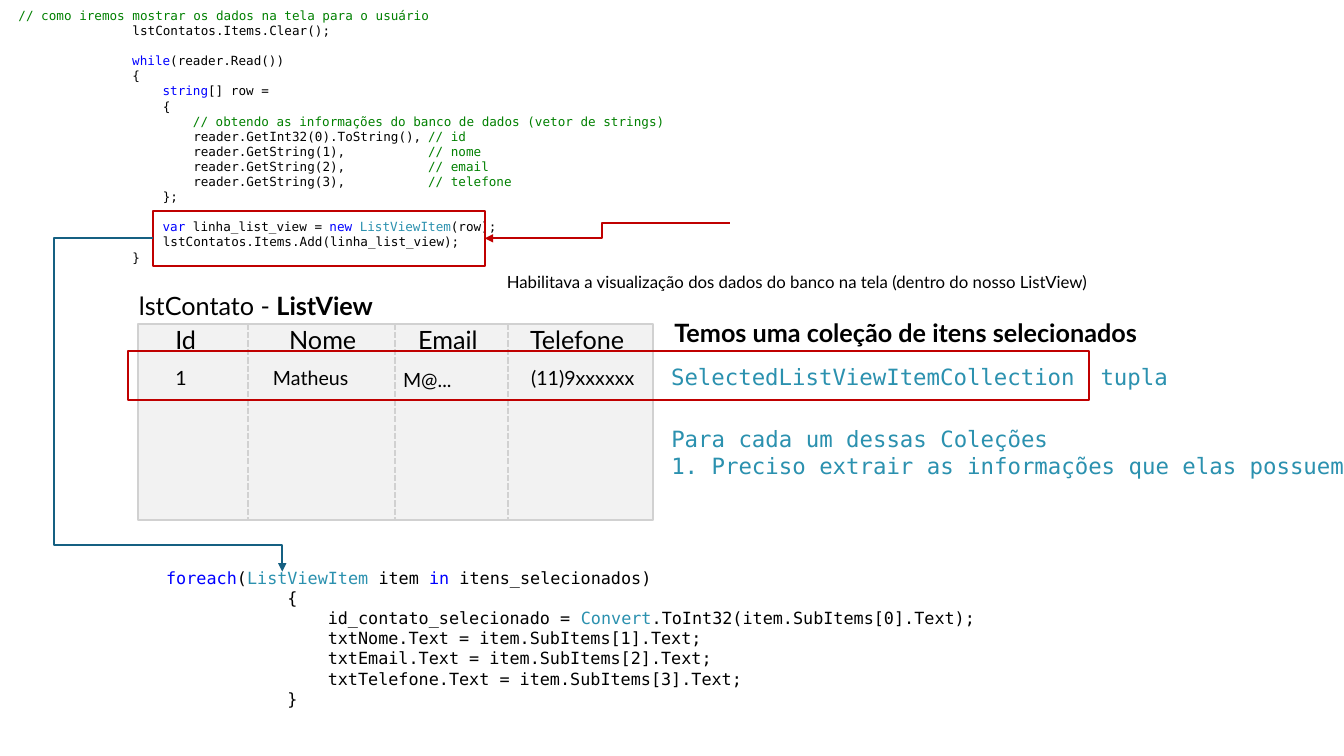
from lxml import etree
from pptx import Presentation
from pptx import util as u
from pptx.dml.color import RGBColor
from pptx.enum import dml, shapes, text
from pptx.oxml.ns import qn

HUES = {"ink": "000000", "note": "008000", "key": "0000FF", "type": "2B91AF",
        "red": "C00000", "blue": "156082", "edge": "D1D1D1", "pale": "F2F2F2"}
MONO, SANS = "DejaVu Sans Mono", "Lato"
TOP, LOW, LEFT, RIGHT = 32.1, 51.6, 13.7, 64.8
RULES = (24.6, 39.2, 50.4)
HEADS = (("Id", 16.4, 5.5), ("Nome", 27.7, 8.8), ("Email", 40.5, 8.8), ("Telefone", 51.6, 12.4))
ROW = (("1", 16.4, 35.8, 5.5), ("Matheus", 26.1, 35.8, 13.3),
       ("M@...", 39, 36, 13.3), ("(11)9xxxxxx", 51.7, 35.8, 14.8))

READ = (
    (0, [(" ", "ink"), ("// como iremos mostrar os dados na tela para o usuário", "note")]),
    (0, [("                lstContatos.Items.Clear();", "ink")]),
    (1, [("                ", "ink"), ("while", "key"), ("(reader.Read())", "ink")]),
    (0, [("                {", "ink")]),
    (0, [("                    ", "ink"), ("string", "key"), ("[] row =", "ink")]),
    (0, [("                    {", "ink")]),
    (0, [("                        ", "ink"),
         ("// obtendo as informações do banco de dados (vetor de strings)", "note")]),
    (0, [("                        reader.GetInt32(0).ToString(), ", "ink"), ("// id", "note")]),
    (0, [("                        reader.GetString(1),           ", "ink"), ("// nome", "note")]),
    (0, [("                        reader.GetString(2),           ", "ink"), ("// email", "note")]),
    (0, [("                        reader.GetString(3),           ", "ink"), ("// telefone", "note")]),
    (0, [("                    };", "ink")]),
    (1, [("                    ", "ink"), ("var", "key"), (" linha_list_view = ", "ink"),
         ("new", "key"), (" ", "ink"), ("ListViewItem", "type"), ("(row);", "ink")]),
    (0, [("                    lstContatos.Items.Add(linha_list_view);", "ink")]),
    (0, [("                }", "ink")]))

LOOP = (
    (0, [("foreach", "key"), ("(", "ink"), ("ListViewItem", "type"), (" item ", "ink"),
         ("in", "key"), (" itens_selecionados)", "ink")]),
    (0, [("            {", "ink")]),
    (0, [("                id_contato_selecionado = ", "ink"), ("Convert", "type"),
         (".ToInt32(item.SubItems[0].Text);", "ink")]),
    (0, [("                txtNome.Text = item.SubItems[1].Text;", "ink")]),
    (0, [("                txtEmail.Text = item.SubItems[2].Text;", "ink")]),
    (0, [("                txtTelefone.Text = item.SubItems[3].Text;", "ink")]),
    (0, [("            }", "ink")]))


def grid(*cells):
    """Turn grid cells of a tenth of an inch into lengths."""
    return [u.Inches(cell / 10) for cell in cells]


def hue(name):
    """Look up a colour."""
    return RGBColor.from_string(HUES[name])


def style(font, size, face, tint, bold=False):
    """Set the look of a font."""
    font.size, font.name, font.bold = u.Pt(size), face, bold
    font.color.rgb = hue(tint)


def box(slide, area):
    """Add a wrapping text box and return its frame."""
    frame = slide.shapes.add_textbox(*grid(*area)).text_frame
    frame.word_wrap = True
    return frame


def label(slide, words, area, size, face=SANS, tint="ink"):
    """Add a one-line label."""
    frame = box(slide, area)
    frame.text = words
    style(frame.paragraphs[0].runs[0].font, size, face, tint)
    return frame


def code(slide, lines, area, size):
    """Add coloured code, with a line's gap where asked."""
    frame = box(slide, area)
    for i, (gap, parts) in enumerate(lines):
        para = frame.add_paragraph() if i else frame.paragraphs[0]
        para.space_before = u.Pt(gap * size * 1.164)
        for words, tint in parts:
            run = para.add_run()
            run.text = words
            style(run.font, size, MONO, tint)


def fill(holder, lines, area, size, face, tint, bold=False):
    """Move a placeholder and set its plain lines."""
    holder.left, holder.top, holder.width, holder.height = grid(*area)
    frame = holder.text_frame
    frame.text = "\n".join(lines)
    frame.word_wrap, frame.auto_size = True, text.MSO_AUTO_SIZE.NONE
    frame.vertical_anchor = text.MSO_ANCHOR.TOP
    for para in frame.paragraphs:
        props = para._p.get_or_add_pPr()
        props.set("marL", "0")
        props.set("indent", "0")
        para.alignment, para.space_before = text.PP_ALIGN.LEFT, u.Pt(0)
        etree.SubElement(props, qn("a:buNone"))
        style(para.runs[0].font, size, face, tint, bold)


def frame(slide, area, tint, inner=None):
    """Add an outlined rectangle."""
    rect = slide.shapes.add_shape(shapes.MSO_SHAPE.RECTANGLE, *grid(*area))
    rect.shadow.inherit = False
    rect.line.color.rgb, rect.line.width = hue(tint), u.Pt(1.5)
    if inner:
        rect.fill.solid()
        rect.fill.fore_color.rgb = hue(inner)
    else:
        rect.fill.background()
    return rect


def link(slide, kind, ends, tint):
    """Add a connector without a shadow."""
    line = slide.shapes.add_connector(kind, *grid(*ends))
    line.line.color.rgb, line.line.width = hue(tint), u.Pt(1.5)
    etree.SubElement(line._element.spPr, qn("a:effectLst"))
    return line


def dash(slide, *ends):
    """Add a dashed rule."""
    line = link(slide, shapes.MSO_CONNECTOR.STRAIGHT, ends, "edge")
    line.line.dash_style = dml.MSO_LINE.SQUARE_DOT


def bend(slide, ends, tint, preset, turns):
    """Add an elbow arrow with its turns set as shares."""
    line = link(slide, shapes.MSO_CONNECTOR.ELBOW, ends, tint)
    geom = line._element.spPr.find(qn("a:prstGeom"))
    geom.set("prst", preset)
    guides = geom.find(qn("a:avLst"))
    if guides is None:
        guides = etree.SubElement(geom, qn("a:avLst"))
    for i, turn in enumerate(turns, 1):
        etree.SubElement(guides, qn("a:gd"), name=f"adj{i}", fmla=f"val {round(turn * 100000)}")
    etree.SubElement(line.line._get_or_add_ln(), qn("a:tailEnd"), type="triangle")
    return line


def view(slide):
    """Draw the list view with its heads and row."""
    name = label(slide, "lstContato - ", (12.8, 28.3, 30.7, 4), 18)
    run = name.paragraphs[0].add_run()
    run.text = "ListView"
    style(run.font, 18, SANS, "ink", True)
    frame(slide, (LEFT, TOP, RIGHT - LEFT, LOW - TOP), "edge", "pale")
    for x in RULES:
        dash(slide, x, TOP, x, LOW)
    dash(slide, LEFT, 34.8, RIGHT, 34.8)
    for words, x, wide in HEADS:
        label(slide, words, (x, 31.7, wide, 4), 18)
    for words, x, y, wide in ROW:
        label(slide, words, (x, y, wide, 3.4), 14)


def main():
    """Build the slide and save it."""
    deck = Presentation()
    deck.slide_width, deck.slide_height = grid(133.33, 75)
    slide = deck.slides.add_slide(deck.slide_layouts[1])
    for spare in list(slide.placeholders)[2:]:
        spare._element.getparent().remove(spare._element)
    fill(slide.shapes.title, ["Temos uma coleção de itens selecionados"],
         (65.9, 31, 55.4, 4), 18, SANS, "ink", True)
    fill(slide.placeholders[1],
         ["Para cada um dessas Coleções", "1. Preciso extrair as informações que elas possuem"],
         (65.6, 41.7, 80.5, 6.4), 16, MONO, "type")
    code(slide, READ, (0.1, 0.3, 67.6, 26.8), 9)
    mark = frame(slide, (15.2, 20.9, 32.9, 5.5), "red")
    note = label(slide, "Habilitava a visualização dos dados do banco na tela (dentro do nosso ListView)",
                 (49.3, 26.5, 59.9, 3), 12)
    note.word_wrap = False
    view(slide)
    label(slide, "SelectedListViewItemCollection", (65.6, 35.5, 44.4, 3.7), 16, MONO, "type")
    label(slide, "tupla", (108.2, 35.5, 9.4, 3.7), 16, MONO, "type")
    code(slide, LOOP, (15.5, 55.8, 100.1, 15.1), 12)
    frame(slide, (12.7, 34.8, 95.3, 4.9), "red")
    inward = bend(slide, (72.4, 22.1, 48.3, 23.6), "red", "bentConnector3", [0.52])
    inward.end_connect(mark, 3)
    down = bend(slide, (15.2, 23.6, 28, 56.7), "blue", "bentConnector4", [-0.77, 0.92])
    down.begin_connect(mark, 1)


    deck.save("out.pptx")


if __name__ == "__main__":
    main()
